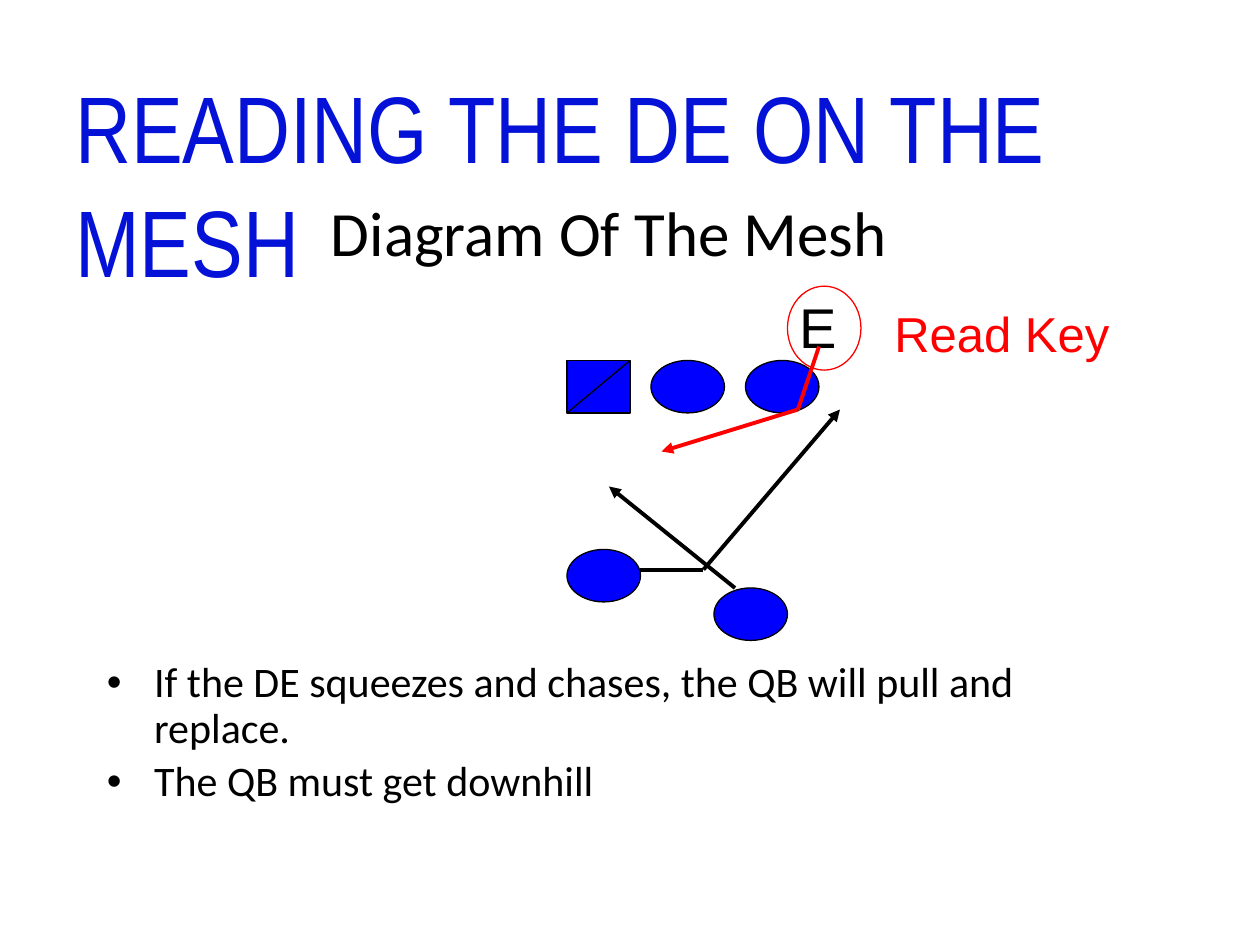
from dataclasses import dataclass

from lxml import etree
from pptx import Presentation
from pptx.dml.color import RGBColor
from pptx.enum.shapes import MSO_CONNECTOR, MSO_SHAPE
from pptx.enum.text import MSO_ANCHOR, PP_ALIGN
from pptx.oxml.ns import qn
from pptx.shapes.autoshape import Shape
from pptx.slide import Slide
from pptx.util import Pt

RECTANGLE, OVAL = MSO_SHAPE.RECTANGLE, MSO_SHAPE.OVAL
STRAIGHT = MSO_CONNECTOR.STRAIGHT
LEFT, CENTER = PP_ALIGN.LEFT, PP_ALIGN.CENTER
TOP, MIDDLE = MSO_ANCHOR.TOP, MSO_ANCHOR.MIDDLE

BLACK = RGBColor(0x00, 0x00, 0x00)
RED = RGBColor(0xFF, 0x00, 0x00)
PLAYER_BLUE = RGBColor(0x00, 0x00, 0xFF)
HEADING_BLUE = RGBColor(0x04, 0x11, 0xD7)

THIN, THICK = 0.75, 2.25
PLAYER_WIDTH, PLAYER_HEIGHT = 42, 30
LINE_TOP = 206  # top of the offensive line
BULLET_INDENT = 27


@dataclass(frozen=True)
class Box:
    left: float
    top: float
    width: float
    height: float


@dataclass(frozen=True)
class Route:
    points: tuple[tuple[float, float], ...]
    color: RGBColor = BLACK


CENTER_BOX = Box(324, LINE_TOP, 36, PLAYER_HEIGHT)
READ_KEY_RING = Box(450, 163.5, 42, 48)
PLAYERS = [
    Box(left, top, PLAYER_WIDTH, PLAYER_HEIGHT)
    for left, top in ((324, 314), (426, LINE_TOP), (372, LINE_TOP), (408, 336))
]
BACKFIELD_ROUTES = [
    Route(((420, 336), (348, 278))),
    Route(((366, 325.5), (402, 325.5), (480, 234))),
]
END_ROUTE = Route(((468, 198), (456, 234), (378, 258)), RED)
BULLETS = [
    "If the DE squeezes and chases, the QB will pull and replace.",
    "The QB must get downhill",
]


def add_text(slide: Slide, box: Box, *lines: str, size: float, font: str,
             color: RGBColor = BLACK, align=LEFT, anchor=TOP,
             bullets: bool = False) -> None:
    text_box = slide.shapes.add_textbox(
        Pt(box.left), Pt(box.top), Pt(box.width), Pt(box.height))
    frame = text_box.text_frame
    frame.word_wrap = True
    frame.vertical_anchor = anchor
    for index, line in enumerate(lines):
        paragraph = frame.paragraphs[0] if index == 0 else frame.add_paragraph()
        paragraph.alignment = align
        run = paragraph.add_run()
        run.text = line
        run.font.size = Pt(size)
        run.font.name = font
        run.font.color.rgb = color
        if bullets:
            paragraph.line_spacing = 0.9
            paragraph.space_before = Pt(0.2 * size)
            properties = paragraph._p.get_or_add_pPr()
            properties.set("marL", str(Pt(BULLET_INDENT)))
            properties.set("indent", str(-Pt(BULLET_INDENT)))
            etree.SubElement(properties, qn("a:buFont"), typeface="Arial")
            etree.SubElement(properties, qn("a:buChar"), char="•")


def add_figure(slide: Slide, kind, box: Box, line_color: RGBColor = BLACK,
               fill: RGBColor | None = PLAYER_BLUE) -> Shape:
    shape = slide.shapes.add_shape(
        kind, Pt(box.left), Pt(box.top), Pt(box.width), Pt(box.height))
    shape.shadow.inherit = False
    if fill is None:
        shape.fill.background()
    else:
        shape.fill.solid()
        shape.fill.fore_color.rgb = fill
    shape.line.color.rgb = line_color
    shape.line.width = Pt(THIN)
    return shape


def add_line(slide: Slide, start: tuple[float, float], end: tuple[float, float],
             color: RGBColor = BLACK, width: float = THICK,
             arrow: bool = False) -> None:
    connector = slide.shapes.add_connector(
        STRAIGHT, Pt(start[0]), Pt(start[1]), Pt(end[0]), Pt(end[1]))
    connector.line.color.rgb = color
    connector.line.width = Pt(width)
    if arrow:
        etree.SubElement(connector.line._get_or_add_ln(), qn("a:tailEnd"),
                         type="triangle")
    etree.SubElement(connector._element.spPr, qn("a:effectLst"))


def add_route(slide: Slide, route: Route) -> None:
    """Draw a route leg by leg, with the arrowhead on the last leg."""
    legs = list(zip(route.points, route.points[1:]))
    for number, (start, end) in enumerate(legs, start=1):
        add_line(slide, start, end, route.color, arrow=number == len(legs))


def main() -> None:
    presentation = Presentation()
    presentation.slide_width, presentation.slide_height = Pt(720), Pt(540)
    slide = presentation.slides.add_slide(presentation.slide_layouts[6])

    # Coaching points
    add_text(slide, Box(54, 374.5, 612, 98), *BULLETS,
             size=24, font="Calibri", bullets=True)

    # Offense: center with its diagonal, then the other players
    add_figure(slide, RECTANGLE, CENTER_BOX)
    add_line(slide, (CENTER_BOX.left + CENTER_BOX.width, LINE_TOP),
             (CENTER_BOX.left, LINE_TOP + PLAYER_HEIGHT), width=THIN)
    for player in PLAYERS:
        add_figure(slide, OVAL, player)
    for route in BACKFIELD_ROUTES:
        add_route(slide, route)

    # Defensive end: the read key
    add_text(slide, Box(450, 163.5, 48, 45), "E", size=32, font="Arial")
    add_figure(slide, OVAL, READ_KEY_RING, line_color=RED, fill=None)
    add_text(slide, Box(504, 170, 150, 41), "Read Key",
             size=28, font="Arial", color=RED)
    add_route(slide, END_ROUTE)

    # Headings
    add_text(slide, Box(36, 36, 631, 73), "READING THE DE ON THE MESH",
             size=54, font="Arial Narrow", color=HEADING_BLUE)
    add_text(slide, Box(168, 102, 360, 60.5), "Diagram Of The Mesh",
             size=36, font="Calibri", align=CENTER, anchor=MIDDLE)

    presentation.save("out.pptx")


if __name__ == "__main__":
    main()
